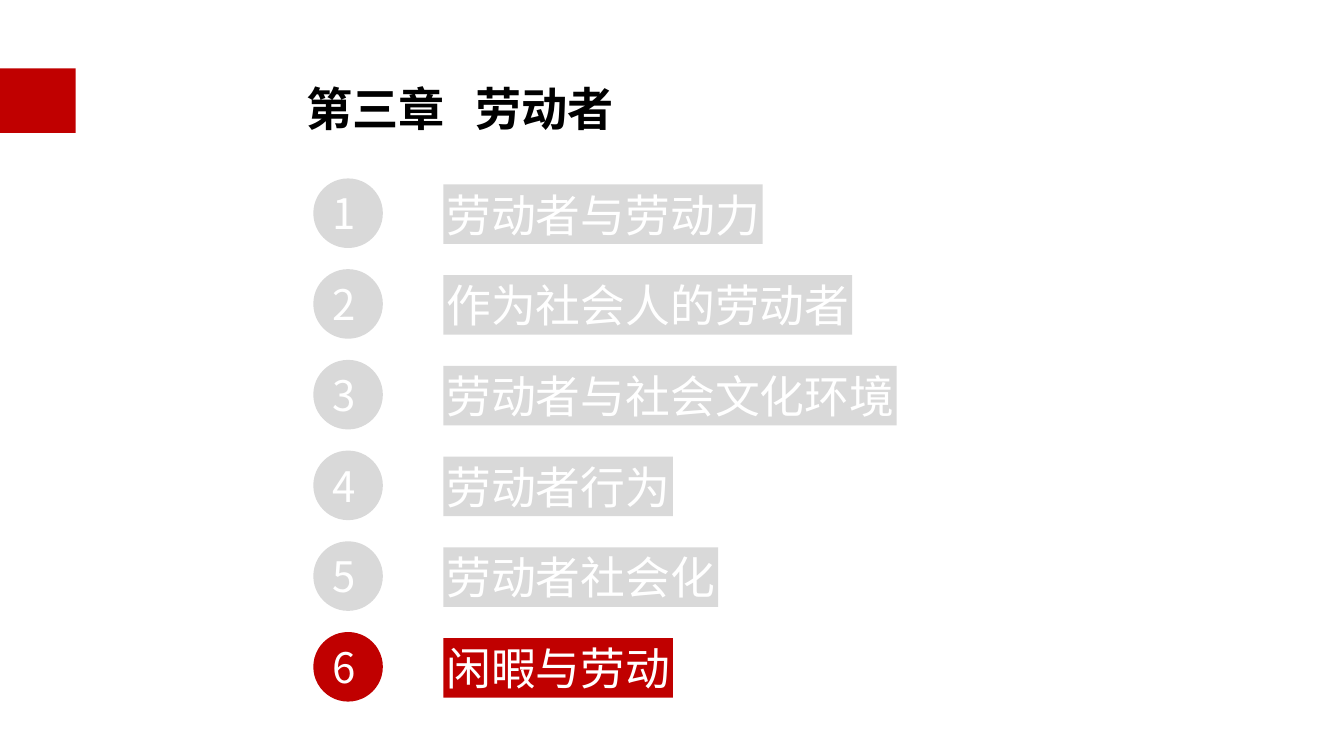
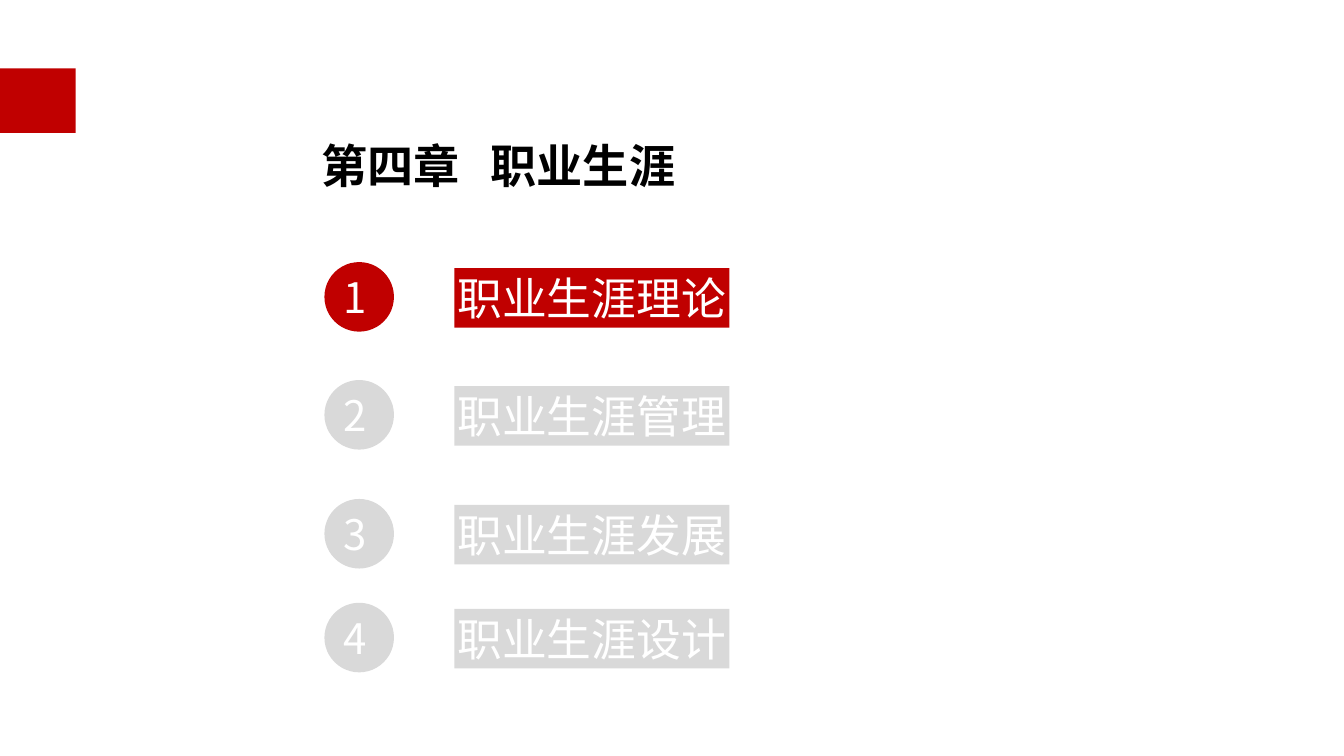
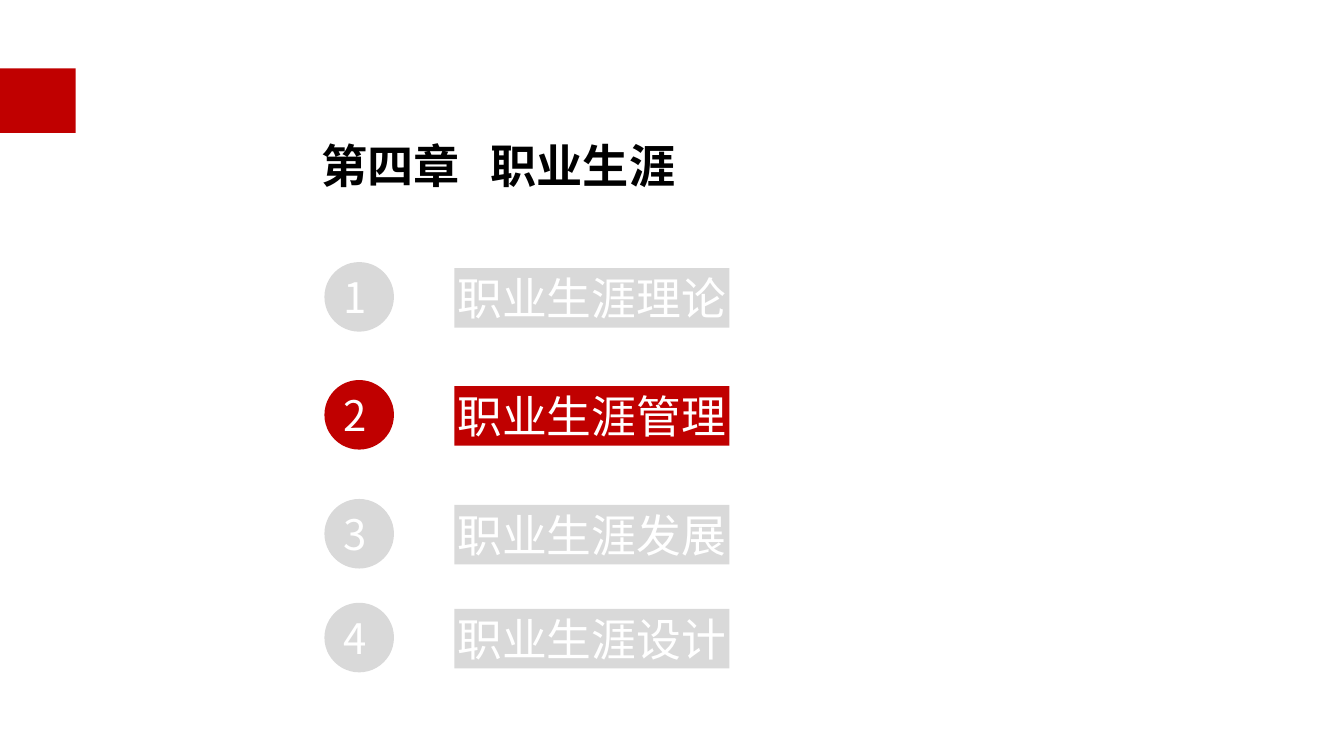
from lxml.etree import SubElement
from pptx import Presentation
from pptx.dml.color import RGBColor
from pptx.enum.shapes import MSO_SHAPE
from pptx.enum.text import MSO_ANCHOR, MSO_AUTO_SIZE, PP_ALIGN
from pptx.oxml.ns import qn
from pptx.util import Emu, Pt

PX_PER_INCH = 100
EMU_PER_PX = 9144
FONT = "Noto Sans CJK SC"
COLORS = {"active": "C00000", "muted": "D9D9D9", "light": "FFFFFF", "dark": "000000"}

TITLE_SIZE, TOPIC_SIZE, NUMBER_SIZE = 33, 32, 30
CIRCLE = 69
TAG_HEIGHT, TAG_PADDING = 59, 3
TAG_OFFSET_X, TAG_OFFSET_Y = 129, 6
CHAPTER_NAME_TAB = 168

LABOURER = {
    "title": "第三章\t劳动者",
    "title_box": (291, 49, 322, 88),
    "left": 311,
    "tops": [177 + 90 * row for row in range(6)],
    "topics": ["劳动者与劳动力", "作为社会人的劳动者", "劳动者与社会文化环境",
               "劳动者行为", "劳动者社会化", "闲暇与劳动"],
}
CAREER = {
    "title": "第四章\t职业生涯",
    "title_box": (306, 106, 368, 88),
    "left": 322,
    "tops": [260, 377, 495, 598],
    "topics": ["职业生涯理论", "职业生涯管理", "职业生涯发展", "职业生涯设计"],
}


def px(length):
    return Emu(length * EMU_PER_PX)


def rgb(name):
    return RGBColor.from_string(COLORS[name])


def write(shape, text, size, color, margins, bold=False, wrap=True):
    """Set left-aligned, vertically centred text; margins are left, top, right, bottom."""
    frame = shape.text_frame
    frame.text = text
    frame.auto_size = MSO_AUTO_SIZE.NONE
    frame.word_wrap = wrap
    frame.vertical_anchor = MSO_ANCHOR.MIDDLE
    (frame.margin_left, frame.margin_top,
     frame.margin_right, frame.margin_bottom) = map(px, margins)
    paragraph = frame.paragraphs[0]
    paragraph.alignment = PP_ALIGN.LEFT
    for run in paragraph.runs:
        font = run.font
        font.name, font.size, font.bold = FONT, Pt(size), bold
        font.color.rgb = rgb(color)
        SubElement(font._element, qn("a:ea"), typeface=FONT)
    return paragraph


def add_filled(slide, preset, box, color):
    shape = slide.shapes.add_shape(preset, *map(px, box))
    shape.shadow.inherit = False
    shape.fill.solid()
    shape.fill.fore_color.rgb = rgb(color)
    shape.line.fill.background()
    return shape


def add_layout_band(slide):
    """Place the red band on the slide's layout, so that every slide shows it."""
    band = add_filled(slide, MSO_SHAPE.RECTANGLE, (0, 68, 75, 64), "active")
    slide.slide_layout.shapes.element.append(band.element)


def set_title(slide, text, box):
    title = slide.shapes.title
    title.left, title.top, title.width, title.height = map(px, box)
    paragraph = write(title, text, TITLE_SIZE, "dark", (13, 3, 0, 3), bold=True)
    paragraph.line_spacing = 1.5
    tabs = SubElement(paragraph._p.get_or_add_pPr(), qn("a:tabLst"))
    SubElement(tabs, qn("a:tab"), pos=str(px(CHAPTER_NAME_TAB)), algn="l")


def add_topic(slide, left, top, number, topic, color):
    circle = add_filled(slide, MSO_SHAPE.OVAL, (left, top, CIRCLE, CIRCLE), color)
    write(circle, str(number), NUMBER_SIZE, "light", (9, 0, 0, 0))

    text_width = round(len(topic) * TOPIC_SIZE * PX_PER_INCH / 72)
    tag_box = (left + TAG_OFFSET_X, top + TAG_OFFSET_Y,
               text_width + 2 * TAG_PADDING, TAG_HEIGHT)
    tag = add_filled(slide, MSO_SHAPE.RECTANGLE, tag_box, color)
    write(tag, topic, TOPIC_SIZE, "light", [TAG_PADDING] * 4, wrap=False)


def add_chapter(prs, chapter, active):
    slide = prs.slides.add_slide(prs.slide_layouts[5])
    set_title(slide, chapter["title"], chapter["title_box"])
    rows = zip(chapter["tops"], chapter["topics"])
    for number, (top, topic) in enumerate(rows, start=1):
        color = "active" if number == active else "muted"
        add_topic(slide, chapter["left"], top, number, topic, color)
    return slide


def main():
    prs = Presentation()
    prs.slide_width, prs.slide_height = px(1334), px(750)
    first = add_chapter(prs, LABOURER, active=6)
    add_layout_band(first)
    add_chapter(prs, CAREER, active=1)
    add_chapter(prs, CAREER, active=2)
    prs.save("out.pptx")


if __name__ == "__main__":
    main()
